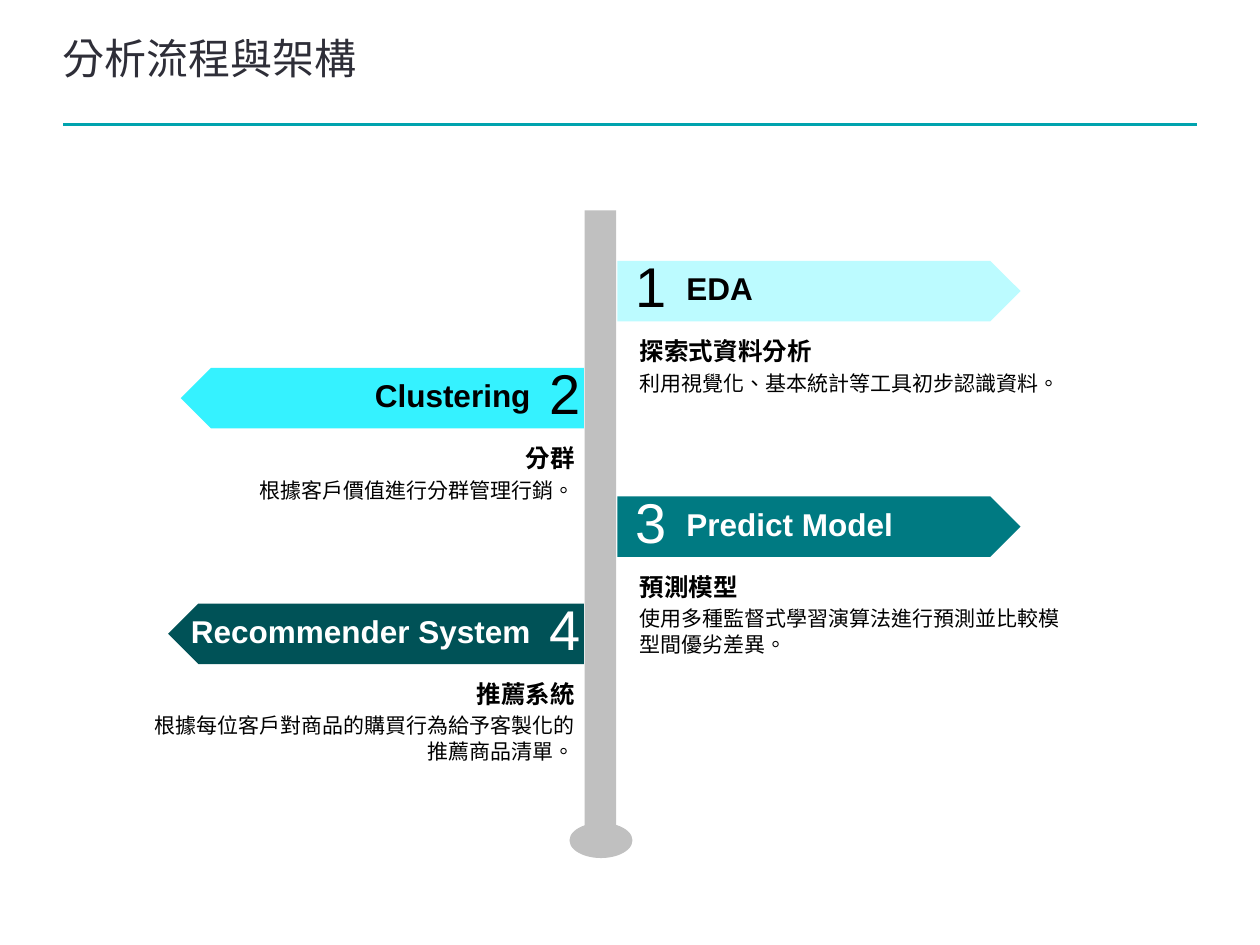
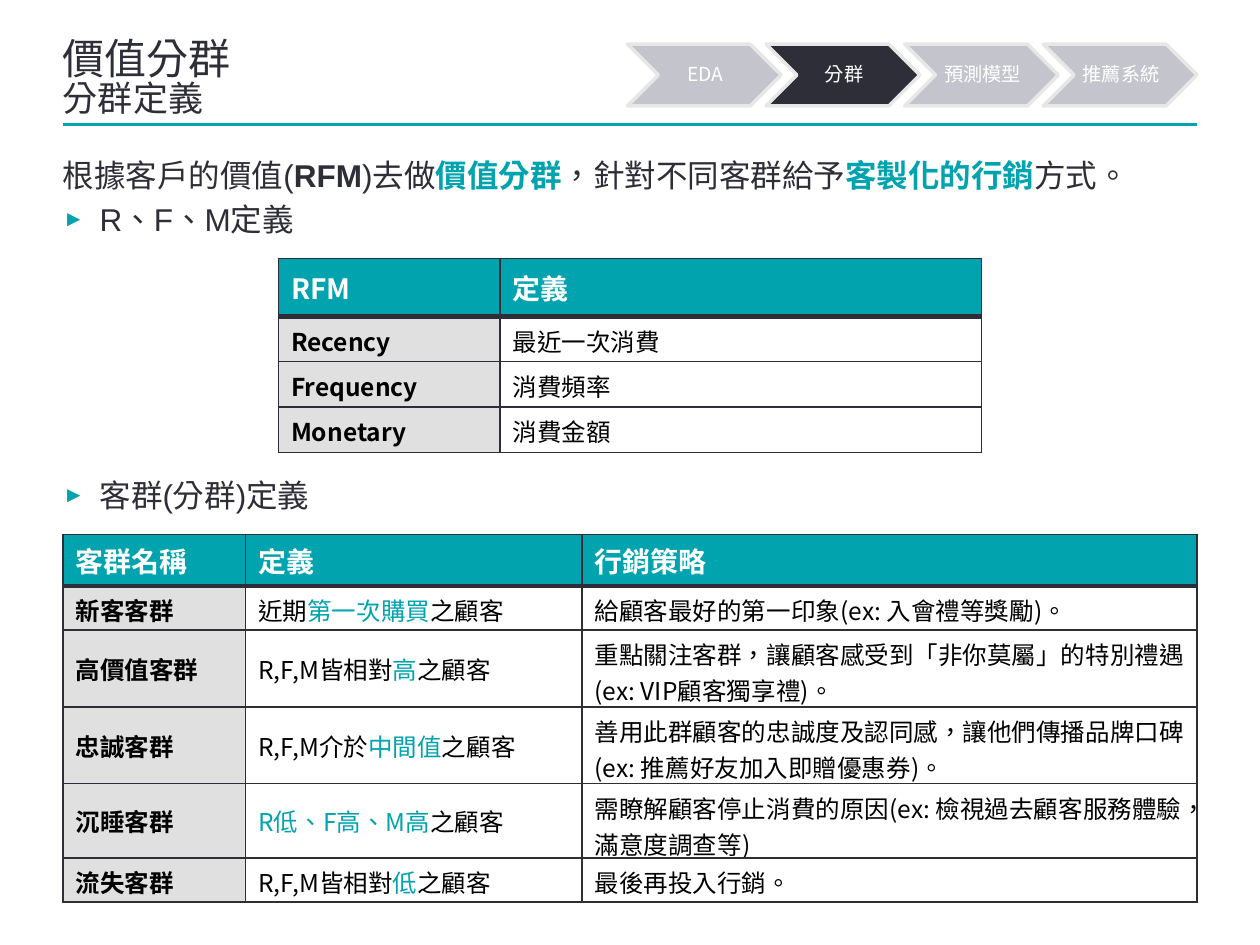
from dataclasses import dataclass, replace

from lxml import etree
from pptx import Presentation
from pptx.dml.color import RGBColor
from pptx.enum.shapes import MSO_CONNECTOR, MSO_SHAPE
from pptx.enum.text import MSO_ANCHOR, PP_ALIGN
from pptx.oxml.ns import qn
from pptx.util import Inches, Pt

INK = RGBColor(0x2E, 0x2E, 0x38)
TEAL = RGBColor(0x00, 0xA3, 0xAE)
BLACK = RGBColor(0x00, 0x00, 0x00)
WHITE = RGBColor(0xFF, 0xFF, 0xFF)
POST_GRAY = RGBColor(0xC0, 0xC0, 0xC0)
STEP_GRAY = RGBColor(0xC4, 0xC4, 0xCD)
STEP_EDGE = RGBColor(0xE7, 0xE7, 0xE7)
NAME_GRAY = RGBColor(0xE0, 0xE0, 0xE0)
SIGN_PALE = RGBColor(0xBC, 0xFB, 0xFF)
SIGN_BRIGHT = RGBColor(0x35, 0xF2, 0xFF)
SIGN_TEAL = RGBColor(0x00, 0x7A, 0x82)
SIGN_DEEP = RGBColor(0x00, 0x52, 0x57)

LEFT, CENTER, RIGHT = PP_ALIGN.LEFT, PP_ALIGN.CENTER, PP_ALIGN.RIGHT
TOP, MIDDLE = MSO_ANCHOR.TOP, MSO_ANCHOR.MIDDLE
ELLIPSE, RECTANGLE = MSO_SHAPE.OVAL, MSO_SHAPE.RECTANGLE
SIGN, CHEVRON = MSO_SHAPE.PENTAGON, MSO_SHAPE.CHEVRON
STRAIGHT = MSO_CONNECTOR.STRAIGHT

LATIN, CJK = "Arial", "Noto Sans CJK SC"
COLUMNS, ROWS = 100, 75
CELL = Inches(0.1)
MARGIN, CONTENT_WIDTH = 5, 90
PADDED = (1, 0.5, 1, 0.5)


@dataclass(frozen=True)
class Style:
    size: float
    color: RGBColor = INK
    bold: bool = False
    font: str = LATIN


TITLE = Style(24, font=CJK)
SUBTITLE = replace(TITLE, size=20)
BODY = Style(18)
HEADER = Style(16, WHITE, True, CJK)
CELL_TEXT = Style(14, BLACK, font=CJK)
STEP = Style(11, WHITE, font=CJK)


def grid(*lengths):
    return [round(length * CELL) for length in lengths]


def marked(text, style):
    """Turn the parts between asterisks into accent-coloured runs."""
    accent = replace(style, color=TEAL)
    return [(part, accent if i % 2 else style)
            for i, part in enumerate(text.split("*")) if part]


class Deck:
    def __init__(self):
        self.presentation = Presentation()
        self.presentation.slide_width = COLUMNS * CELL
        self.presentation.slide_height = ROWS * CELL
        self.slide = None

    def new_slide(self, *title_lines):
        blank = self.presentation.slide_layouts[6]
        self.slide = self.presentation.slides.add_slide(blank)
        lines = [[(line, style)] for line, style in zip(title_lines, (TITLE, SUBTITLE))]
        self.text((MARGIN, 3.2, CONTENT_WIDTH, 6.5), lines, spacing=0.85)
        self.rule(9.9)

    def rule(self, row):
        start, end, height = grid(MARGIN, MARGIN + CONTENT_WIDTH, row)
        rule = self.slide.shapes.add_connector(STRAIGHT, start, height, end, height)
        rule.line.color.rgb = TEAL
        rule.line.width = Pt(1.5)
        etree.SubElement(rule._element.spPr, qn("a:effectLst"))

    def shape(self, kind, at, fill, edge=None, flip=False):
        shape = self.slide.shapes.add_shape(kind, *grid(*at))
        shape.shadow.inherit = False
        shape.fill.solid()
        shape.fill.fore_color.rgb = fill
        if edge:
            shape.line.color.rgb = edge
            shape.line.width = Pt(2)
        else:
            shape.line.fill.background()
        if flip:
            shape._element.spPr.xfrm.set("flipH", "1")

    def add_runs(self, paragraph, runs):
        for text, style in runs:
            run = paragraph.add_run()
            run.text = text
            font = run.font
            font.size, font.bold = Pt(style.size), style.bold
            font.color.rgb = style.color
            font.name = style.font
            properties = run._r.get_or_add_rPr()
            properties.set("lang", "zh-TW")
            etree.SubElement(properties, qn("a:ea"), typeface=CJK)

    def text(self, at, paragraphs, insets=(0, 0, 0, 0), align=LEFT, anchor=TOP,
             spacing=1.0, before=0, after=0, wrap=True):
        frame = self.slide.shapes.add_textbox(*grid(*at)).text_frame
        frame.word_wrap = wrap
        frame.vertical_anchor = anchor
        (frame.margin_left, frame.margin_top,
         frame.margin_right, frame.margin_bottom) = grid(*insets)
        for i, runs in enumerate(paragraphs):
            paragraph = frame.add_paragraph() if i else frame.paragraphs[0]
            paragraph.alignment = align
            paragraph.line_spacing = spacing
            paragraph.space_before, paragraph.space_after = Pt(before), Pt(after)
            self.add_runs(paragraph, runs)
        return frame

    def bullet(self, paragraph):
        properties = paragraph._p.get_or_add_pPr()
        indent = Inches(0.29)
        properties.set("marL", str(indent))
        properties.set("indent", str(-indent))
        color = etree.SubElement(properties, qn("a:buClr"))
        etree.SubElement(color, qn("a:srgbClr"), val=str(TEAL))
        etree.SubElement(properties, qn("a:buSzPct"), val="70000")
        etree.SubElement(properties, qn("a:buFont"), typeface=LATIN)
        etree.SubElement(properties, qn("a:buChar"), char="►")

    def border(self, cell, **widths):
        properties = cell._tc.get_or_add_tcPr()
        for side in "LRTB":
            width = Pt(widths.get(side, 0.96))
            line = etree.SubElement(properties, qn(f"a:ln{side}"), w=str(width))
            fill = etree.SubElement(line, qn("a:solidFill"))
            etree.SubElement(fill, qn("a:srgbClr"), val=str(INK))

    def table(self, left, top, widths, heights, content):
        """Draw a table with a teal header row and a gray name column."""
        at = grid(left, top, sum(widths), sum(heights))
        frame = self.slide.shapes.add_table(len(heights), len(widths), *at)
        table = frame.table
        table.horz_banding = False
        for column, width in zip(table.columns, grid(*widths)):
            column.width = width
        for row, height in zip(table.rows, grid(*heights)):
            row.height = height
        for r, texts in enumerate(content):
            for c, text in enumerate(texts):
                cell = table.cell(r, c)
                if r == 0:
                    fill, style, heavy = TEAL, HEADER, {"B": 3}
                else:
                    fill = WHITE if c else NAME_GRAY
                    style = replace(CELL_TEXT, bold=c == 0)
                    heavy = {"T": 3} if r == 1 else {}
                self.border(cell, **heavy)
                cell.fill.solid()
                cell.fill.fore_color.rgb = fill
                cell.vertical_anchor = MIDDLE
                self.add_runs(cell.text_frame.paragraphs[0], marked(text, style))

    def signpost(self, number, top, fill, ink, width, label_width, label,
                 heading, detail, detail_lines):
        """Hang one numbered sign on the post: odd to the right, even to the left."""
        right = number % 2 == 1
        align = LEFT if right else RIGHT
        sign_left = 49 if right else 46.35 - width
        label_left = 53.5 if right else 43.1 - label_width
        self.shape(SIGN, (sign_left, top, width, 4.8), fill, flip=not right)
        self.text((50.4 if right else 43.6, top - 0.3, 2.5, 4.9),
                  [[(str(number), Style(32, ink))]], insets=(0, 0.4, 0, 0),
                  align=CENTER, spacing=0.85, wrap=False)
        self.text((label_left, top + 0.4, label_width, 3.8),
                  [[(label, Style(18, ink, True))]], PADDED, align, spacing=0.95)
        self.text((49.8 if right else 10.1, top + 5.5, 36.5, 3.7 + 2 * detail_lines),
                  [[(heading, Style(14, BLACK, True))], [(detail, Style(12, BLACK))]],
                  PADDED, align, after=2.6)

    def progress(self, steps, current):
        for i, step in enumerate(steps):
            left = 49.8 + 11 * i
            fill = INK if step == current else STEP_GRAY
            self.shape(CHEVRON, (left, 3.5, 12.2, 4.9), fill, STEP_EDGE)
            self.text((left + 2.4, 3.5, 7.3, 4.9), [[(step, STEP)]],
                      (0.5, 0.2, 0.2, 0.2), CENTER, MIDDLE, spacing=0.9)


def build_process(deck):
    deck.new_slide("分析流程與架構")
    deck.shape(ELLIPSE, (45.2, 65.3, 5, 2.8), POST_GRAY)
    deck.shape(RECTANGLE, (46.4, 16.7, 2.5, 49.2), POST_GRAY)
    signs = [
        (20.7, SIGN_PALE, BLACK, 32, 25, "EDA", "探索式資料分析",
         "利用視覺化、基本統計等工具初步認識資料。", 1),
        (29.2, SIGN_BRIGHT, BLACK, 32, 25, "Clustering", "分群",
         "根據客戶價值進行分群管理行銷。", 1),
        (39.4, SIGN_TEAL, WHITE, 32, 25, "Predict Model", "預測模型",
         "使用多種監督式學習演算法進行預測並比較模型間優劣差異。", 2),
        (47.9, SIGN_DEEP, WHITE, 33, 31, "Recommender System", "推薦系統",
         "根據每位客戶對商品的購買行為給予客製化的推薦商品清單。", 2),
    ]
    for number, sign in enumerate(signs, 1):
        deck.signpost(number, *sign)


def build_segments(deck):
    deck.new_slide("價值分群", "分群定義")
    deck.progress(["EDA", "分群", "預測模型", "推薦系統"], current="分群")

    strong = replace(BODY, bold=True)
    accent = replace(strong, color=TEAL)
    intro = [("根據客戶的價值(", BODY), ("RFM", strong), (")去做", BODY),
             ("價值分群", accent), ("，針對不同客群給予", BODY),
             ("客製化的行銷", accent), ("方式。", BODY)]
    opening = deck.text((MARGIN, 12.4, CONTENT_WIDTH, 6.8),
                        [intro, [("R、F、M定義", BODY)]], before=3.6)
    deck.bullet(opening.paragraphs[1])
    deck.table(22.1, 20.5, [17.6, 38.2], [4.6] + [3.6] * 3, [
        ("RFM", "定義"),
        ("Recency", "最近一次消費"),
        ("Frequency", "消費頻率"),
        ("Monetary", "消費金額"),
    ])

    segments = deck.text((MARGIN, 37.8, CONTENT_WIDTH, 3.8),
                         [[("客群(分群)定義", BODY)]], before=3.6)
    deck.bullet(segments.paragraphs[0])
    deck.table(MARGIN, 42.4, [14.5, 26.7, 48.8], [4.1, 3.5, 6.1, 6.1, 5.9, 3.5], [
        ("客群名稱", "定義", "行銷策略"),
        ("新客客群", "近期*第一次購買*之顧客",
         "給顧客最好的第一印象(ex: 入會禮等獎勵)。"),
        ("高價值客群", "R,F,M皆相對*高*之顧客",
         "重點關注客群，讓顧客感受到「非你莫屬」的特別禮遇(ex: VIP顧客獨享禮)。"),
        ("忠誠客群", "R,F,M介於*中間值*之顧客",
         "善用此群顧客的忠誠度及認同感，讓他們傳播品牌口碑(ex: 推薦好友加入即贈優惠券)。"),
        ("沉睡客群", "*R低、F高、M高*之顧客",
         "需瞭解顧客停止消費的原因(ex: 檢視過去顧客服務體驗，滿意度調查等)"),
        ("流失客群", "R,F,M皆相對*低*之顧客", "最後再投入行銷。"),
    ])


def main():
    deck = Deck()
    build_process(deck)
    build_segments(deck)
    deck.presentation.save("out.pptx")


if __name__ == "__main__":
    main()
